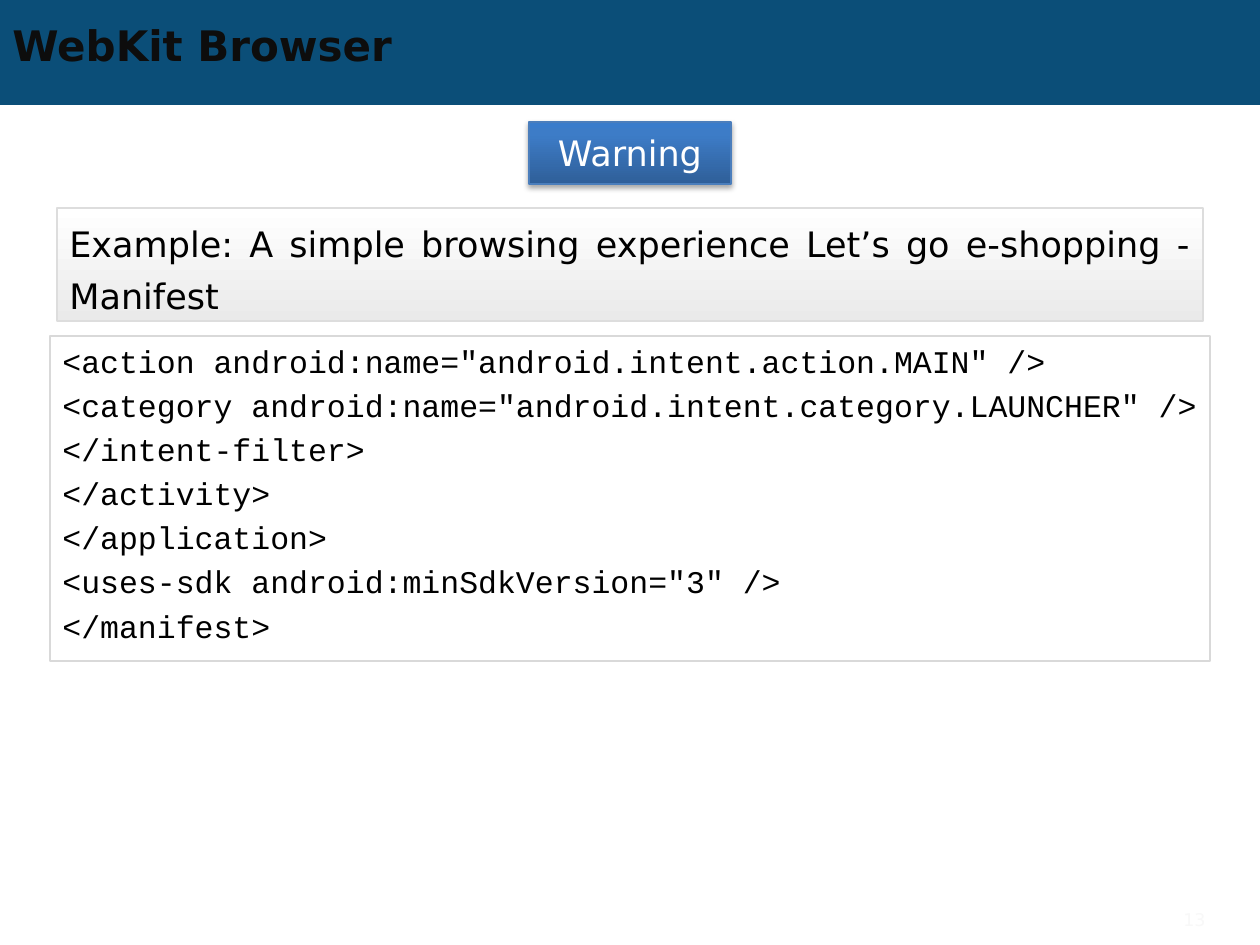
from lxml import etree
from pptx import Presentation
from pptx import util as u
from pptx.dml.color import RGBColor
from pptx.enum import shapes, text
from pptx.oxml import ns

PX_PER_INCH = 126
SANS, MONO = "DejaVu Sans", "Courier New"
NAVY = RGBColor(0x0B, 0x4E, 0x78)
INK = RGBColor(0x0D, 0x0D, 0x0D)
BLACK = RGBColor(0x00, 0x00, 0x00)
WHITE = RGBColor(0xFF, 0xFF, 0xFF)
BLUE_LINE = RGBColor(0x4B, 0x7E, 0xBC)
BLUE_DARK = RGBColor(0x2F, 0x5F, 0x99)
BLUE_MID = RGBColor(0x3D, 0x7C, 0xC7)
BLUE_LIGHT = RGBColor(0x3A, 0x7C, 0xCB)
PALE = RGBColor(0xEA, 0xEA, 0xEA)
EXAMPLE_LINE = RGBColor(0xDD, 0xDD, 0xDD)
CODE_LINE = RGBColor(0xD9, 0xD9, 0xD9)
FAINT = RGBColor(0xF8, 0xF8, 0xF8)

CODE = [
    '<action android:name="android.intent.action.MAIN" />',
    '<category android:name="android.intent.category.LAUNCHER" />',
    "</intent-filter>",
    "</activity>",
    "</application>",
    '<uses-sdk android:minSdkVersion="3" />',
    "</manifest>",
]


def px(n):
    return u.Emu(round(n * 914400 / PX_PER_INCH))


def add_panel(s, box, line=None, width=0):
    sp = s.shapes.add_shape(shapes.MSO_SHAPE.RECTANGLE, *map(px, box))
    sp.shadow.inherit = False
    sp.fill.background()
    if line is None:
        sp.line.fill.background()
    else:
        sp.line.color.rgb = line
        sp.line.width = u.Pt(width)
    return sp


def set_gradient(sp, stops, angle):
    """Fill with (percent, colour) stops; angle is counter-clockwise."""
    sp.fill.gradient()
    sp.fill.gradient_angle = angle
    stop_list = sp._element.spPr.find(".//" + ns.qn("a:gsLst"))
    for old in list(stop_list):
        stop_list.remove(old)
    for percent, color in stops:
        stop = etree.SubElement(stop_list, ns.qn("a:gs"), pos=str(percent * 1000))
        etree.SubElement(stop, ns.qn("a:srgbClr"), val=str(color))


def add_shadow(sp):
    effects = sp._element.spPr.find(ns.qn("a:effectLst"))
    shadow = etree.SubElement(effects, ns.qn("a:outerShdw"), blurRad="40000",
                              dist="23000", dir="5400000", rotWithShape="0")
    color = etree.SubElement(shadow, ns.qn("a:srgbClr"), val=str(BLACK))
    etree.SubElement(color, ns.qn("a:alpha"), val="35000")


def set_text(sp, words, size, color, font=SANS, bold=False,
             align=text.PP_ALIGN.LEFT, anchor=text.MSO_ANCHOR.MIDDLE):
    tf = sp.text_frame
    tf.text = words
    tf.word_wrap = True
    tf.vertical_anchor = anchor
    for p in tf.paragraphs:
        p.alignment = align
        for r in p.runs:
            r.font.name, r.font.size, r.font.bold = font, u.Pt(size), bold
            r.font.color.rgb = color
    return tf


# Title band across the top
def add_header(s, x, y, w, h):
    band = add_panel(s, (x, y, w, h))
    band.fill.solid()
    band.fill.fore_color.rgb = NAVY
    title = s.shapes.add_textbox(*map(px, (x, y + 18, w - 126, 54)))
    set_text(title, "WebKit Browser", 24, INK, bold=True)


# Blue label
def add_badge(s, *box):
    sp = add_panel(s, box, BLUE_LINE, 0.75)
    set_gradient(sp, [(0, BLUE_DARK), (80, BLUE_MID), (100, BLUE_LIGHT)], 90)
    add_shadow(sp)
    set_text(sp, "Warning", 20, WHITE, align=text.PP_ALIGN.CENTER)


# Grey caption above the code
def add_example(s, *box):
    sp = add_panel(s, box, EXAMPLE_LINE, 1)
    set_gradient(sp, [(0, WHITE), (100, PALE)], 270)
    tf = set_text(sp, "Example: A simple browsing experience Let’s go e‐shopping - Manifest",
                  20, BLACK, align=text.PP_ALIGN.JUSTIFY)
    tf.paragraphs[0].line_spacing = u.Pt(30)


# Code listing
def add_code(s, *box):
    sp = add_panel(s, box, CODE_LINE, 1.5)
    tf = set_text(sp, "\n".join(CODE), 18, BLACK, font=MONO, anchor=text.MSO_ANCHOR.TOP)
    tf.margin_top, tf.margin_right = px(6), 0
    for p in tf.paragraphs[1:]:
        p.space_before = u.Pt(3.6)


def add_page_number(s, *box):
    sp = s.shapes.add_textbox(*map(px, box))
    set_text(sp, "13", 10, FAINT, align=text.PP_ALIGN.RIGHT)


def main():
    prs = Presentation()
    prs.slide_width, prs.slide_height = px(1260), px(945)
    s = prs.slides.add_slide(prs.slide_layouts[6])
    add_header(s, 0, 0, 1260, 105)
    add_badge(s, 529, 122, 202, 62)
    add_example(s, 57, 208, 1146, 113)
    add_code(s, 50, 336, 1160, 325)
    add_page_number(s, 1118, 902, 100, 36)
    prs.save("out.pptx")


if __name__ == "__main__":
    main()
